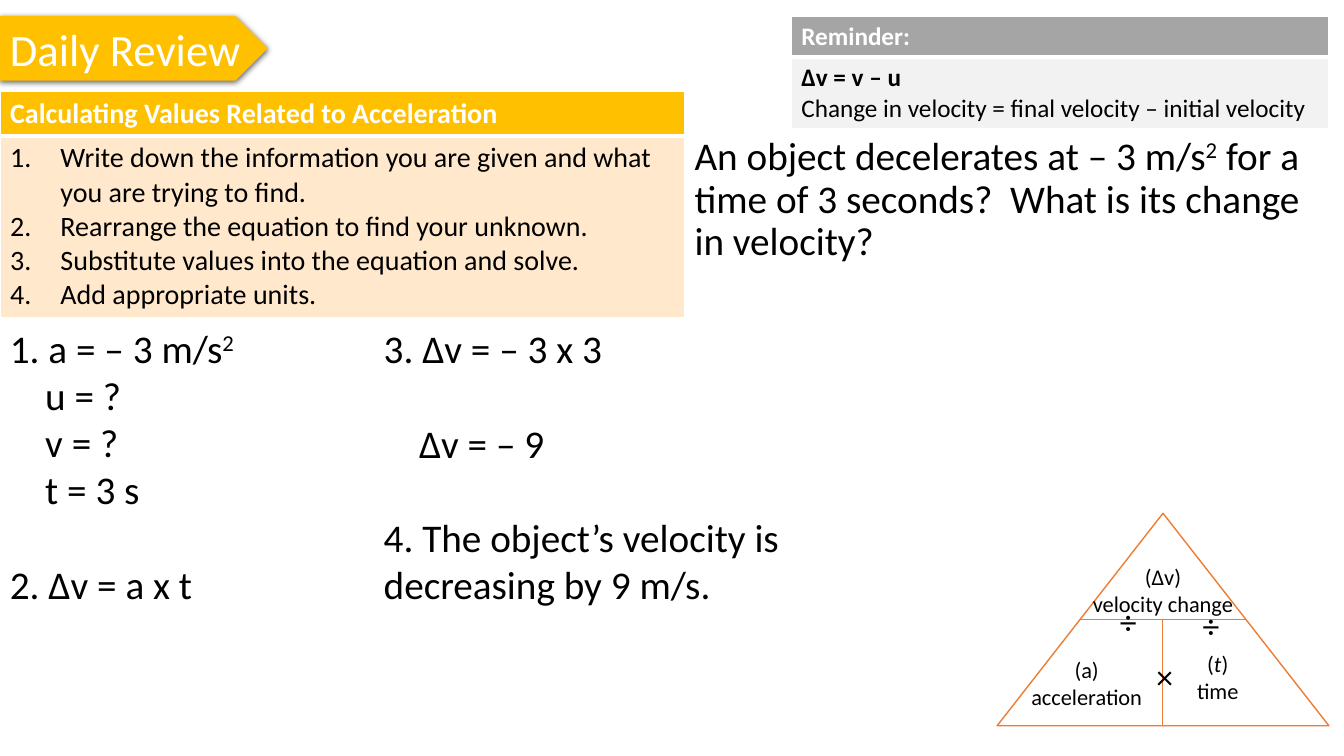
from collections import namedtuple

from lxml import etree
from pptx import Presentation
from pptx.dml.color import RGBColor
from pptx.enum.shapes import MSO_CONNECTOR, MSO_SHAPE
from pptx.enum.text import MSO_ANCHOR, PP_ALIGN
from pptx.oxml.ns import qn
from pptx.util import Inches, Pt

ARROW, TRIANGLE = MSO_SHAPE.PENTAGON, MSO_SHAPE.ISOSCELES_TRIANGLE
STRAIGHT = MSO_CONNECTOR.STRAIGHT
LEFT, CENTER, MIDDLE = PP_ALIGN.LEFT, PP_ALIGN.CENTER, MSO_ANCHOR.MIDDLE

BLACK = RGBColor(0x00, 0x00, 0x00)
WHITE = RGBColor(0xFF, 0xFF, 0xFF)
GOLD = RGBColor(0xFF, 0xC0, 0x00)
CREAM = RGBColor(0xFF, 0xE8, 0xCC)
GREY = RGBColor(0xA5, 0xA5, 0xA5)
PALE = RGBColor(0xF2, 0xF2, 0xF2)
ORANGE = RGBColor(0xED, 0x7D, 0x31)

FONT = "Calibri"
SLIDE_W, SLIDE_H = Inches(13.33), Inches(7.5)
COL, ROW = SLIDE_W / 160, SLIDE_H / 90
WORKING_LINE = 34  # height of one line of working, in points

Box = namedtuple("Box", "left top width height")


def grid(col, row, cols, rows):
    return Box(int(col * COL), int(row * ROW), int(cols * COL), int(rows * ROW))


def share(box, x, y, w, h):
    """Part of a box, given as shares of its width and height."""
    return Box(int(box.left + x * box.width), int(box.top + y * box.height),
               int(w * box.width), int(h * box.height))


def child(parent, tag, **attributes):
    return etree.SubElement(parent, qn(tag), {k: str(v) for k, v in attributes.items()})


def write(frame, paragraphs, size, color=BLACK, bold=False, numbered=False, **layout):
    """Fill a frame; a paragraph is (text, format), text being a string or runs."""
    for index, (text, own) in enumerate(paragraphs):
        paragraph = frame.paragraphs[0] if index == 0 else frame.add_paragraph()
        settings = {"alignment": LEFT, **layout, **own}
        indent = Inches(settings.pop("indent", 0))
        para_bold = settings.pop("bold", bold)
        properties = paragraph._p.get_or_add_pPr()
        if numbered:
            properties.set("marL", str(Inches(0.5)))
            properties.set("indent", str(-Inches(0.5)))
            child(properties, "a:buFont", typeface="+mj-lt")
            child(properties, "a:buAutoNum", type="arabicPeriod")
        elif indent:
            properties.set("marL", str(indent))
        for name, value in settings.items():
            setattr(paragraph, name, value)
        for words, style in [(text, "")] if isinstance(text, str) else text:
            run = paragraph.add_run()
            run.text = words
            font = {"name": FONT, "size": Pt(size), "bold": para_bold,
                    "italic": style == "italic"}
            for name, value in font.items():
                setattr(run.font, name, value)
            run.font.color.rgb = color
            if style == "super":
                run._r.get_or_add_rPr().set("baseline", "30000")


def text_box(slide, box, paragraphs, size, **layout):
    frame = slide.shapes.add_textbox(*box).text_frame
    frame.word_wrap = True
    write(frame, paragraphs, size, **layout)


def title_arrow(slide, box, title):
    arrow = slide.shapes.add_shape(ARROW, *box)
    arrow.fill.solid()
    arrow.fill.fore_color.rgb = GOLD
    arrow.line.fill.background()
    arrow.shadow.inherit = False
    effects = arrow._element.spPr.find(qn("a:effectLst"))
    shadow = child(effects, "a:outerShdw", blurRad=Pt(4.5), dist=Pt(1.5),
                   dir=5400000, algn="ctr", rotWithShape=0)
    child(child(shadow, "a:srgbClr", val=BLACK), "a:alpha", val=63000)
    arrow.text_frame.word_wrap = False
    arrow.text_frame.vertical_anchor = MIDDLE
    write(arrow.text_frame, [(title, {})], 32, WHITE)


def note_table(slide, box, header_share, heading, body, size, fills, numbered=False):
    """Two stacked cells: a coloured heading and its notes."""
    table = slide.shapes.add_table(2, 1, *box).table
    table.horz_banding = False
    table.rows[0].height = int(box.height * header_share)
    table.rows[1].height = box.height - table.rows[0].height
    for row, fill in enumerate(fills):
        cell = table.cell(row, 0)
        properties = cell._tc.get_or_add_tcPr()
        for side in "LRTB":
            width = 3 if (row, side) in ((0, "B"), (1, "T")) else 1
            border = child(properties, f"a:ln{side}", w=Pt(width))
            child(child(border, "a:solidFill"), "a:srgbClr", val=WHITE)
        cell.fill.solid()
        cell.fill.fore_color.rgb = fill
    write(table.cell(0, 0).text_frame, [(heading, {})], size, WHITE, bold=True)
    write(table.cell(1, 0).text_frame, body, size, numbered=numbered)


def formula_triangle(slide, box):
    triangle = slide.shapes.add_shape(TRIANGLE, *box)
    triangle.shadow.inherit = False
    triangle.fill.solid()
    triangle.fill.fore_color.rgb = WHITE
    triangle.line.color.rgb = ORANGE
    triangle.line.width = Pt(1)

    # Dividers: half-way across, then down to the base
    for x, y, w, h in ((0.25, 0.5, 0.5, 0), (0.5, 0.5, 0, 0.5)):
        part = share(box, x, y, w, h)
        divider = slide.shapes.add_connector(
            STRAIGHT, part.left, part.top, part.left + part.width, part.top + part.height)
        divider.line.color.rgb = ORANGE
        divider.line.width = Pt(0.75)
        child(divider._element.spPr, "a:effectLst")

    # Quantities
    quantities = (
        ((0.22, 0.21, 0.56, 0.3), "(Δv)", "velocity change"),
        ((0.07, 0.65, 0.4, 0.3), "(a)", "acceleration"),
        ((0.53, 0.62, 0.27, 0.3), [("(", ""), ("t", "italic"), (")", "")], "time"),
    )
    for place, symbol, name in quantities:
        text_box(slide, share(box, *place), [(symbol, {}), (name, {})], 16,
                 alignment=CENTER)

    # Operators
    for x, y, sign in ((0.34, 0.39, "÷"), (0.45, 0.65, "×"), (0.59, 0.41, "÷")):
        text_box(slide, share(box, x, y, 0.1, 0.24), [(sign, {})], 24)


def review_slide(prs):
    slide = prs.slides.add_slide(prs.slide_layouts[6])
    title_arrow(slide, grid(0, 1.9, 31.9, 7.7), "Daily Review")

    # Method and reminder
    steps = ("Write down the information you are given and what you are trying to find.",
             "Rearrange the equation to find your unknown.",
             "Substitute values into the equation and solve.",
             "Add appropriate units.")
    note_table(slide, grid(0, 10.9, 81.5, 26.5), 0.2,
               "Calculating Values Related to Acceleration",
               [(step, {}) for step in steps], 20, (GOLD, CREAM), numbered=True)
    reminder = [("Δv = v – u", {"bold": True}),
                ("Change in velocity = final velocity – initial velocity", {})]
    note_table(slide, grid(94.2, 1.9, 64, 13.3), 0.37, "Reminder:", reminder, 18,
               (GREY, PALE))

    # Question
    question = [("An object decelerates at – 3 m/s", ""), ("2", "super"),
                (" for a time of 3 seconds?  What is its change in velocity?", "")]
    text_box(slide, grid(81.5, 15.7, 76.7, 50.3), [(question, {})], 28,
             line_spacing=0.9, space_after=Pt(12))

    # Worked answer
    inset = {"indent": 0.35}
    gap = {"space_before": Pt(WORKING_LINE)}
    known = [([("1. a = – 3 m/s", ""), ("2", "super")], {}),
             ("u = ?", inset), ("v = ?", inset), ("t = 3 s", inset),
             ("2. Δv = a x t", gap)]
    solved = [("3. Δv = – 3 x 3", {}), ("Δv = – 9", {**inset, **gap}),
              ("4. The object’s velocity is decreasing by 9 m/s.", gap)]
    text_box(slide, grid(0, 38, 50, 39.6), known, 28)
    text_box(slide, grid(44.5, 38, 58.3, 52), solved, 28)

    formula_triangle(slide, grid(118.7, 61.1, 39.5, 25.3))


def main():
    prs = Presentation()
    prs.slide_width, prs.slide_height = SLIDE_W, SLIDE_H
    review_slide(prs)
    prs.save("out.pptx")


if __name__ == "__main__":
    main()
